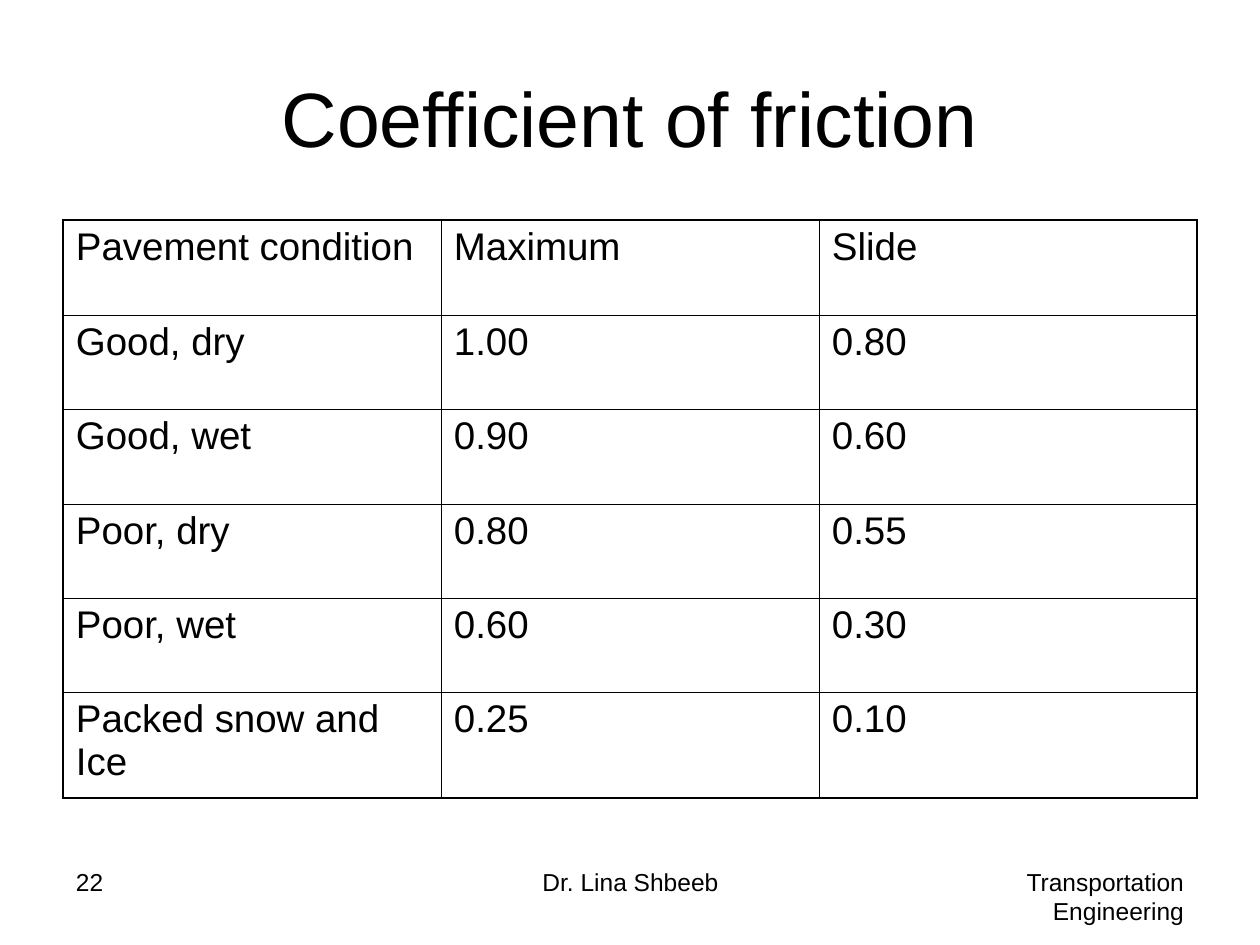
from lxml import etree
from pptx import Presentation
from pptx.dml.color import RGBColor
from pptx.enum.text import MSO_ANCHOR, PP_ALIGN
from pptx.oxml.ns import qn
from pptx.util import Pt

SCALE = 914400 / 126
LEFT, CENTER, RIGHT = PP_ALIGN.LEFT, PP_ALIGN.CENTER, PP_ALIGN.RIGHT
TOP, MIDDLE = MSO_ANCHOR.TOP, MSO_ANCHOR.MIDDLE
INK = "000000"
THIN, THICK = 0.45, 1.08
HEIGHTS = [95, 94, 95, 94, 94, 106]
ROWS = [
    ("Pavement condition", "Maximum", "Slide"),
    ("Good, dry", "1.00", "0.80"),
    ("Good, wet", "0.90", "0.60"),
    ("Poor, dry", "0.80", "0.55"),
    ("Poor, wet", "0.60", "0.30"),
    ("Packed snow and Ice", "0.25", "0.10"),
]
FOOT = [
    (0, 294, "22", LEFT),
    (368, 399, "Dr. Lina Shbeeb", CENTER),
    (840, 294, "Transportation Engineering", RIGHT),
]


def px(n):
    return round(n * SCALE)


def color(code):
    return RGBColor.from_string(code)


def write(frame, text, size, align, anchor):
    frame.text = text
    frame.word_wrap = True
    frame.vertical_anchor = anchor
    para = frame.paragraphs[0]
    para.alignment = align
    font = para.runs[0].font
    for key, value in {"name": "Arial", "size": Pt(size), "bold": False}.items():
        setattr(font, key, value)
    font.color.rgb = color(INK)


def inset(frame):
    for side, n in {"left": 13, "right": 13, "top": 6, "bottom": 6}.items():
        setattr(frame, "margin_" + side, px(n))


def border(cell, widths):
    props = cell._tc.get_or_add_tcPr()
    for side, width in widths.items():
        line = etree.SubElement(props, qn("a:ln" + side), w=str(Pt(width)))
        fill = etree.SubElement(line, qn("a:solidFill"))
        etree.SubElement(fill, qn("a:srgbClr"), val=INK)


def add_title(slide, x, y, w, h):
    title = slide.shapes.title
    title.left, title.top, title.width, title.height = map(px, (x, y, w, h))
    write(title.text_frame, "Coefficient of friction", 44, CENTER, MIDDLE)
    inset(title.text_frame)


def add_grid(slide, x, y, w):
    count, cols = len(ROWS), len(ROWS[0])
    box = map(px, (x, y, w, sum(HEIGHTS)))
    table = slide.shapes.add_table(count, cols, *box).table
    table.first_row = table.horz_banding = False
    for col in table.columns:
        col.width = px(w // cols)
    for r, (row, height) in enumerate(zip(ROWS, HEIGHTS)):
        table.rows[r].height = px(height)
        for c, text in enumerate(row):
            cell = table.cell(r, c)
            write(cell.text_frame, text, 22, LEFT, TOP)
            cell.vertical_anchor = TOP
            inset(cell)
            outer = {"L": c == 0, "R": c == cols - 1, "T": r == 0, "B": r == count - 1}
            border(cell, {side: THICK if edge else THIN for side, edge in outer.items()})
            cell.fill.background()


def add_footer(slide, x, y, h):
    for dx, w, text, align in FOOT:
        box = slide.shapes.add_textbox(*map(px, (x + dx, y, w, h)))
        write(box.text_frame, text, 14, align, TOP)
        inset(box.text_frame)


def main():
    deck = Presentation()
    deck.slide_width, deck.slide_height = px(1260), px(945)
    slide = deck.slides.add_slide(deck.slide_layouts[5])
    add_title(slide, 63, 38, 1134, 157)
    add_grid(slide, 63, 220, 1134)
    add_footer(slide, 63, 861, 66)
    deck.save("out.pptx")


if __name__ == "__main__":
    main()
